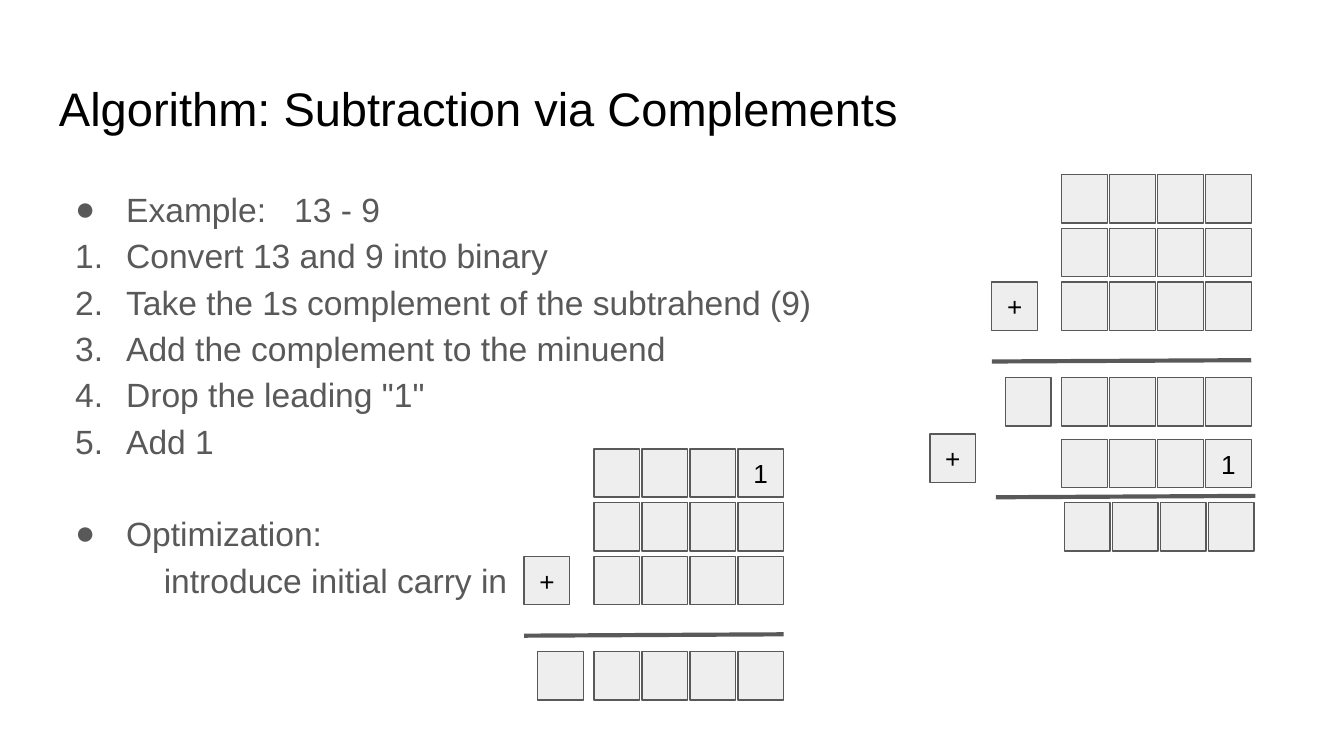
import dataclasses

import pptx
import pptx.dml.color
import pptx.enum.shapes
import pptx.enum.text
import pptx.oxml
import pptx.oxml.ns
import pptx.util
from pptx.util import Inches


@dataclasses.dataclass(frozen=True)
class Theme:
    font: str = "Arial"
    ink: str = "000000"
    gray: str = "595959"
    cell_fill: str = "EEEEEE"
    title_size: float = 25.2
    body_size: float = 18
    cell_size: float = 14
    cell_line: float = 0.75
    rule_line: float = 2.25


THEME = Theme()
CELL_WIDTH, CELL_HEIGHT = 0.34, 0.36
BIT_COUNT = 4
REGISTER_WIDTH = 1.41
ROW_PITCH = 0.4
RULE_WIDTH, RULE_RISE = 1.93, 0.01
INDENT, HANGING = 0.5, -0.38
BULLET = '<a:buChar {} char="●"/>'
NUMBER = '<a:buAutoNum {} type="arabicPeriod"/>'
STEPS = [
    ("Example:\t13 - 9", BULLET),
    ("Convert 13 and 9 into binary", NUMBER),
    ("Take the 1s complement of the subtrahend (9)", NUMBER),
    ("Add the complement to the minuend", NUMBER),
    ('Drop the leading "1"', NUMBER),
    ("Add 1", NUMBER),
    ("Optimization:", BULLET),
]


def rgb(value):
    return pptx.dml.color.RGBColor.from_string(value)


def add_span(para, text, size, color):
    span = para.add_run()
    span.text = text
    span.font.name = THEME.font
    span.font.size = pptx.util.Pt(size)
    span.font.color.rgb = rgb(color)


def prepare_frame(frame):
    frame.word_wrap = True
    frame.margin_left = frame.margin_right = Inches(0.1)
    frame.margin_top = frame.margin_bottom = Inches(0.1)


def add_frame(slide, left, top, width, height):
    box = slide.shapes.add_textbox(
        Inches(left), Inches(top), Inches(width), Inches(height))
    prepare_frame(box.text_frame)
    return box.text_frame


def add_title(slide, left, top, width, height):
    frame = add_frame(slide, left, top, width, height)
    add_span(frame.paragraphs[0], "Algorithm: Subtraction via Complements",
             THEME.title_size, THEME.ink)


def format_para(para, marker):
    """Set the line spacing, the indents and the bullet or number."""
    para.line_spacing = 1.15
    properties = para._p.get_or_add_pPr()
    properties.set("marL", str(Inches(INDENT)))
    properties.set("indent", str(Inches(HANGING)))
    namespace = pptx.oxml.ns.nsdecls("a")
    parts = [
        f'<a:buClr {{}}><a:srgbClr val="{THEME.gray}"/></a:buClr>',
        f'<a:buSzPts {{}} val="{THEME.body_size * 100}"/>',
        f'<a:buFont {{}} typeface="{THEME.font}"/>',
        marker,
    ]
    for part in parts:
        properties.append(pptx.oxml.parse_xml(part.format(namespace)))


def add_tab_stop(para, position):
    xml = '<a:tabLst {}><a:tab pos="{}" algn="l"/></a:tabLst>'
    para._p.get_or_add_pPr().append(pptx.oxml.parse_xml(
        xml.format(pptx.oxml.ns.nsdecls("a"), Inches(position))))


def add_steps(slide, left, top, width, height):
    frame = add_frame(slide, left, top, width, height)
    for index, (text, marker) in enumerate(STEPS):
        para = frame.add_paragraph() if index else frame.paragraphs[0]
        format_para(para, marker)
        add_span(para, text, THEME.body_size, THEME.gray)
    add_tab_stop(frame.paragraphs[0], 1.75)

    optimization = frame.paragraphs[-1]
    optimization.space_before = pptx.util.Pt(24.8)
    add_tab_stop(optimization, 0.78)
    optimization.add_line_break()
    add_span(optimization, "\tintroduce initial carry in",
             THEME.body_size, THEME.gray)


def add_cell(slide, left, top, text=""):
    cell = slide.shapes.add_shape(
        pptx.enum.shapes.MSO_SHAPE.RECTANGLE,
        Inches(left), Inches(top), Inches(CELL_WIDTH), Inches(CELL_HEIGHT))
    cell.shadow.inherit = False
    cell.fill.solid()
    cell.fill.fore_color.rgb = rgb(THEME.cell_fill)
    cell.line.color.rgb = rgb(THEME.gray)
    cell.line.width = pptx.util.Pt(THEME.cell_line)
    if text:
        frame = cell.text_frame
        prepare_frame(frame)
        frame.vertical_anchor = pptx.enum.text.MSO_ANCHOR.MIDDLE
        para = frame.paragraphs[0]
        para.alignment = pptx.enum.text.PP_ALIGN.CENTER
        add_span(para, text, THEME.cell_size, THEME.ink)


def add_register(slide, left, top, last_bit=""):
    """Place a row of bit cells; only the last may hold a digit."""
    pitch = (REGISTER_WIDTH - CELL_WIDTH) / (BIT_COUNT - 1)
    for index in range(BIT_COUNT):
        text = last_bit if index == BIT_COUNT - 1 else ""
        add_cell(slide, left + index * pitch, top, text)


def add_sum_rule(slide, left, top):
    rule = slide.shapes.add_connector(
        pptx.enum.shapes.MSO_CONNECTOR.STRAIGHT,
        Inches(left), Inches(top),
        Inches(left + RULE_WIDTH), Inches(top - RULE_RISE))
    rule.line.color.rgb = rgb(THEME.gray)
    rule.line.width = pptx.util.Pt(THEME.rule_line)
    rule._element.spPr.append(pptx.oxml.parse_xml(
        "<a:effectLst {}/>".format(pptx.oxml.ns.nsdecls("a"))))


def add_three_row_sum(slide, left, top, carry_in=""):
    """Place three registers, a rule, and a result with its leading bit."""
    bits_left = left + RULE_WIDTH - REGISTER_WIDTH
    for row, last_bit in enumerate((carry_in, "", "")):
        add_register(slide, bits_left, top + row * ROW_PITCH, last_bit)
    add_cell(slide, left, top + 2 * ROW_PITCH, "+")
    add_sum_rule(slide, left, top + 1.39)
    add_cell(slide, left + 0.1, top + 1.51)
    add_register(slide, bits_left, top + 1.51)


def add_increment(slide, left, top):
    """Place the addition of 1 and its result."""
    add_cell(slide, left, top, "+")
    add_register(slide, left + 0.98, top + 0.04, "1")
    add_sum_rule(slide, left + 0.49, top + 0.47)
    add_register(slide, left + 1, top + 0.51)


def main():
    deck = pptx.Presentation()
    deck.slide_width = Inches(10)
    deck.slide_height = deck.slide_width * 9 // 16
    slide = deck.slides.add_slide(deck.slide_layouts[6])
    add_title(slide, 0.34, 0.49, 9.32, 0.63)
    add_steps(slide, 0.34, 1.26, 9.32, 3.74)
    add_three_row_sum(slide, 7.38, 1.3)
    add_increment(slide, 6.92, 3.23)
    add_three_row_sum(slide, 3.9, 3.34, carry_in="1")
    deck.save("out.pptx")


if __name__ == "__main__":
    main()
